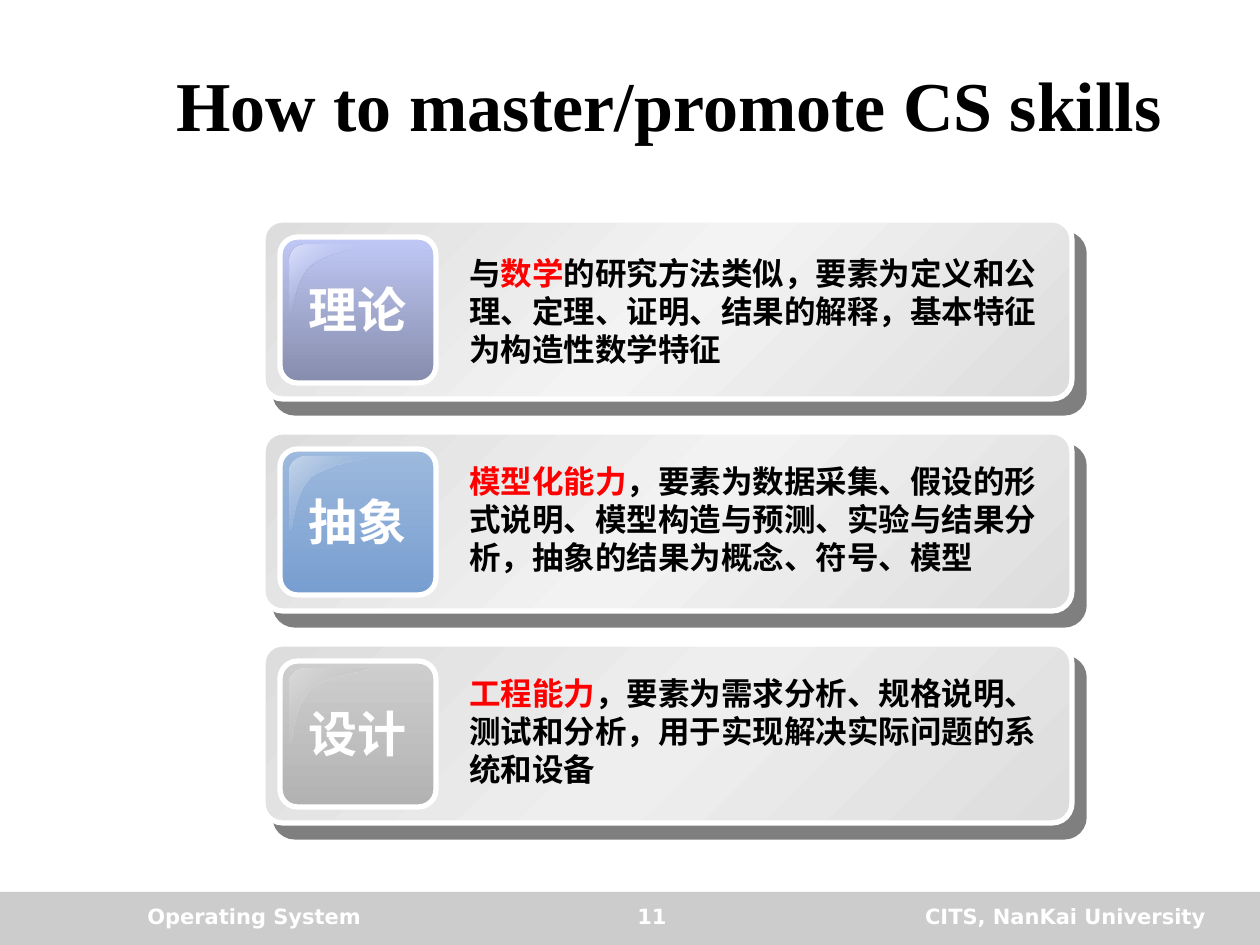
from dataclasses import dataclass

from lxml import etree
from pptx import Presentation
from pptx.dml.color import RGBColor
from pptx.enum.shapes import MSO_SHAPE
from pptx.enum.text import MSO_ANCHOR, MSO_AUTO_SIZE, PP_ALIGN
from pptx.oxml.ns import qn
from pptx.util import Emu, Pt

RECT, ROUNDED = MSO_SHAPE.RECTANGLE, MSO_SHAPE.ROUNDED_RECTANGLE
LEFT, CENTER, RIGHT = PP_ALIGN.LEFT, PP_ALIGN.CENTER, PP_ALIGN.RIGHT
TOP, MIDDLE = MSO_ANCHOR.TOP, MSO_ANCHOR.MIDDLE
GROW = MSO_AUTO_SIZE.SHAPE_TO_FIT_TEXT
PX_PER_INCH = 126


@dataclass(frozen=True)
class Theme:
    black: str = "000000"
    white: str = "FFFFFF"
    accent: str = "FF0000"
    footer: str = "CCCCCC"
    card_edge: str = "DDDDDD"
    title_font: str = "Times New Roman"
    body_font: str = "Arial"
    footer_font: str = "DejaVu Sans"
    title_size: int = 40
    label_size: int = 28
    body_size: int = 18
    footer_size: int = 12
    border: int = 3


THEME = Theme()

# Card grid
CARD_LEFT, CARD_TOP, CARD_PITCH = 263, 220, 212
CARD_WIDTH, CARD_HEIGHT = 809, 179

# Highlight on a tile: start point, then Bezier segments; the gap is a straight side
GLINT_CURVES = [
    [(16, 0), (7, 0), (0, 6), (0, 15)],
    [(0, 73), (4, 74), (3, 38), (21, 21)],
    [(21, 21), (42, 5), (78, 4), (78, 0)],
]

# Gradient stops are (position, colour, opacity), all in percent
CARDS = [
    {
        "label": "理论", "middle": "F3F3F3", "tile": ("C0C9F6", "868CAC"),
        "glint": [(0, "DDE2FA", 100), (50, "C0C9F6", 0), (100, "DDE2FA", 100)],
        "body_offset": 28,
        "body": [("与", THEME.black), ("数学", THEME.accent),
                 ("的研究方法类似，要素为定义和公理、定理、证明、结果的解释，"
                  "基本特征为构造性数学特征", THEME.black)],
    },
    {
        "label": "抽象", "middle": "F2F2F2", "tile": ("9DB9DD", "789ED0"),
        "glint": [(0, "C6D6EB", 100), (100, "789ED0", 0)],
        "body_offset": 24,
        "body": [("模型化能力", THEME.accent),
                 ("，要素为数据采集、假设的形式说明、模型构造与预测、"
                  "实验与结果分析，抽象的结果为概念、符号、模型", THEME.black)],
    },
    {
        "label": "设计", "middle": "EEEEEE", "tile": ("CECECE", "B2B2B2"),
        "glint": [(0, "DADADA", 100), (100, "B2B2B2", 0)],
        "body_offset": 24,
        "body": [("工程能力", THEME.accent),
                 ("，要素为需求分析、规格说明、测试和分析，"
                  "用于实现解决实际问题的系统和设备", THEME.black)],
    },
]


def px(value):
    return Emu(round(value * 914400 / PX_PER_INCH))


def rgb(value):
    return RGBColor.from_string(value)


def add_color(parent, color, opacity):
    node = etree.SubElement(parent, qn("a:srgbClr"), val=color)
    if opacity < 100:
        etree.SubElement(node, qn("a:alpha"), val=str(opacity * 1000))


def fill_gradient(shape, stops, angle):
    shape.fill.gradient()
    shape.fill.gradient_angle = 360 - angle
    stop_list = shape._element.spPr.find(qn("a:gradFill")).find(qn("a:gsLst"))
    for stop in list(stop_list):
        stop_list.remove(stop)
    for position, color, opacity in stops:
        stop = etree.SubElement(stop_list, qn("a:gs"), pos=str(position * 1000))
        add_color(stop, color, opacity)


def add_drop_shadow(shape):
    effects = shape._element.spPr.find(qn("a:effectLst"))
    shadow = etree.SubElement(effects, qn("a:outerShdw"), dist=str(Pt(10.6)),
                              dir=str(49 * 60000), algn="ctr", rotWithShape="0")
    add_color(shadow, THEME.black, 50)


def add_panel(shapes, box, corner, stops, angle):
    panel = shapes.add_shape(ROUNDED, *map(px, box))
    panel.adjustments[0] = corner
    panel.shadow.inherit = False
    fill_gradient(panel, stops, angle)
    panel.line.color.rgb = rgb(THEME.white)
    panel.line.width = Pt(THEME.border)
    return panel


def add_text(shapes, box, runs, font, size, align=LEFT, anchor=TOP, wrap=True, grow=False):
    text_box = shapes.add_textbox(*map(px, box))
    frame = text_box.text_frame
    frame.word_wrap = wrap
    frame.vertical_anchor = anchor
    if grow:
        frame.auto_size = GROW
    paragraph = frame.paragraphs[0]
    paragraph.alignment = align
    for text, color in runs:
        run = paragraph.add_run()
        run.text = text
        run.font.name = font
        run.font.size = Pt(size)
        run.font.bold = True
        run.font.color.rgb = rgb(color)


def bezier(points, steps=12):
    for step in range(steps + 1):
        t = step / steps
        weights = ((1 - t) ** 3, 3 * t * (1 - t) ** 2, 3 * t * t * (1 - t), t ** 3)
        yield tuple(sum(w * p[axis] for w, p in zip(weights, points)) for axis in (0, 1))


def add_glint(shapes, left, top, stops):
    outline = [(px(left + x), px(top + y))
               for curve in GLINT_CURVES for x, y in bezier(curve)]
    builder = shapes.build_freeform(*outline[0])
    builder.add_line_segments(outline[1:], close=True)
    glint = builder.convert_to_shape()
    glint.shadow.inherit = False
    glint.line.fill.background()
    fill_gradient(glint, stops, 45)


def add_card(slide, card, top):
    shapes = slide.shapes.add_group_shape().shapes
    left = CARD_LEFT
    # Panel behind the card
    panel_stops = [(0, THEME.card_edge, 100), (50, card["middle"], 100),
                   (100, THEME.card_edge, 100)]
    panel = add_panel(shapes, (left, top, CARD_WIDTH, CARD_HEIGHT), 0.11, panel_stops, 45)
    add_drop_shadow(panel)
    # Glossy tile with its label
    light, dark = card["tile"]
    add_panel(shapes, (left + 17, top + 17, 156, 146), 0.12,
              [(0, light, 100), (100, dark, 100)], 90)
    add_glint(shapes, left + 27, top + 25, card["glint"])
    add_text(shapes, (left + 33, top + 53, 128, 72), [(card["label"], THEME.white)],
             THEME.body_font, THEME.label_size, grow=True)
    # Description
    add_text(shapes, (left + 194, top + card["body_offset"], 595, 126), card["body"],
             THEME.body_font, THEME.body_size, grow=True)


def add_footer(slide):
    bar = slide.shapes.add_shape(RECT, *map(px, (0, 892, 1260, 53)))
    bar.shadow.inherit = False
    bar.fill.solid()
    bar.fill.fore_color.rgb = rgb(THEME.footer)
    bar.line.fill.background()
    for text, left, width, align in (("Operating System", 135, 346, LEFT),
                                     ("CITS, NanKai University", 819, 399, RIGHT),
                                     ("11", 505, 294, CENTER)):
        add_text(slide.shapes, (left, 897, width, 42), [(text, THEME.white)],
                 THEME.footer_font, THEME.footer_size, align)


def main():
    deck = Presentation()
    deck.slide_width, deck.slide_height = px(1260), px(945)
    slide = deck.slides.add_slide(deck.slide_layouts[6])
    add_footer(slide)
    add_text(slide.shapes, (133, 42, 1072, 123),
             [("How to master/promote CS skills", THEME.black)],
             THEME.title_font, THEME.title_size, CENTER, MIDDLE)
    for row, card in enumerate(CARDS):
        add_card(slide, card, CARD_TOP + row * CARD_PITCH)
    deck.save("out.pptx")


if __name__ == "__main__":
    main()
